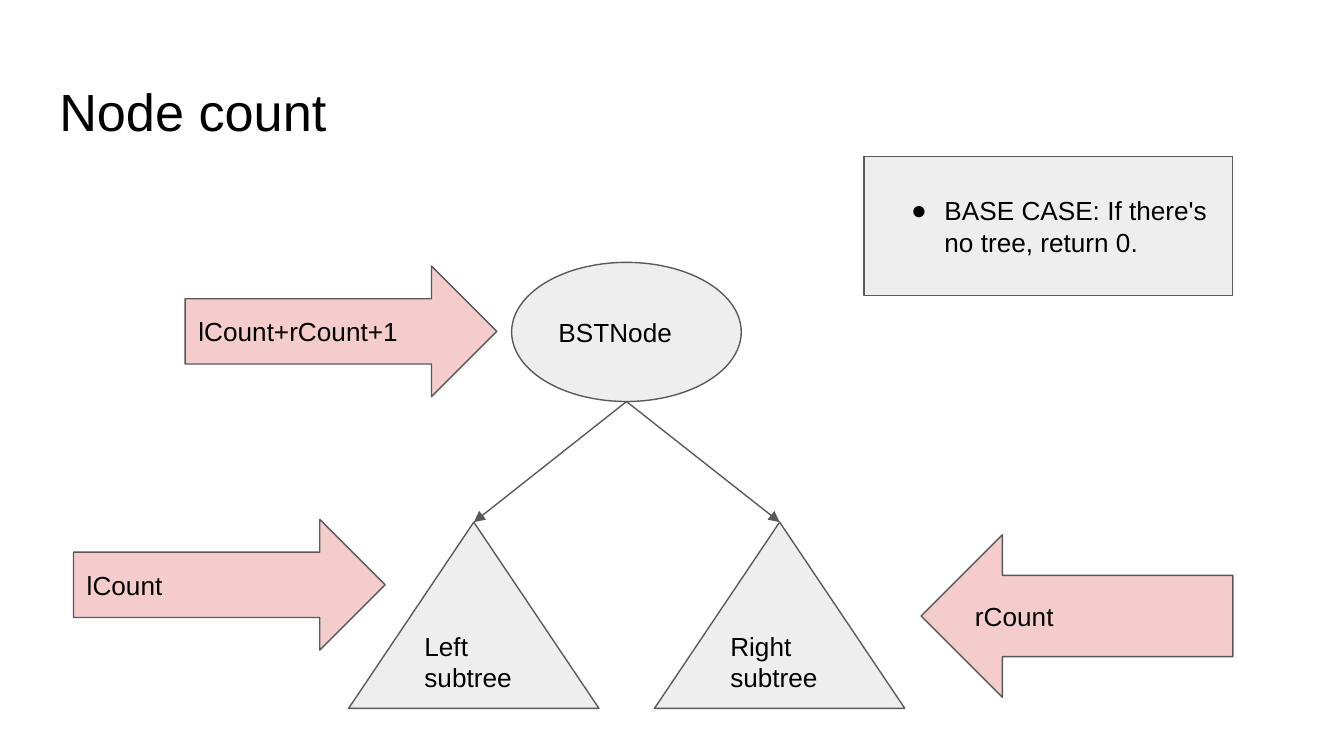
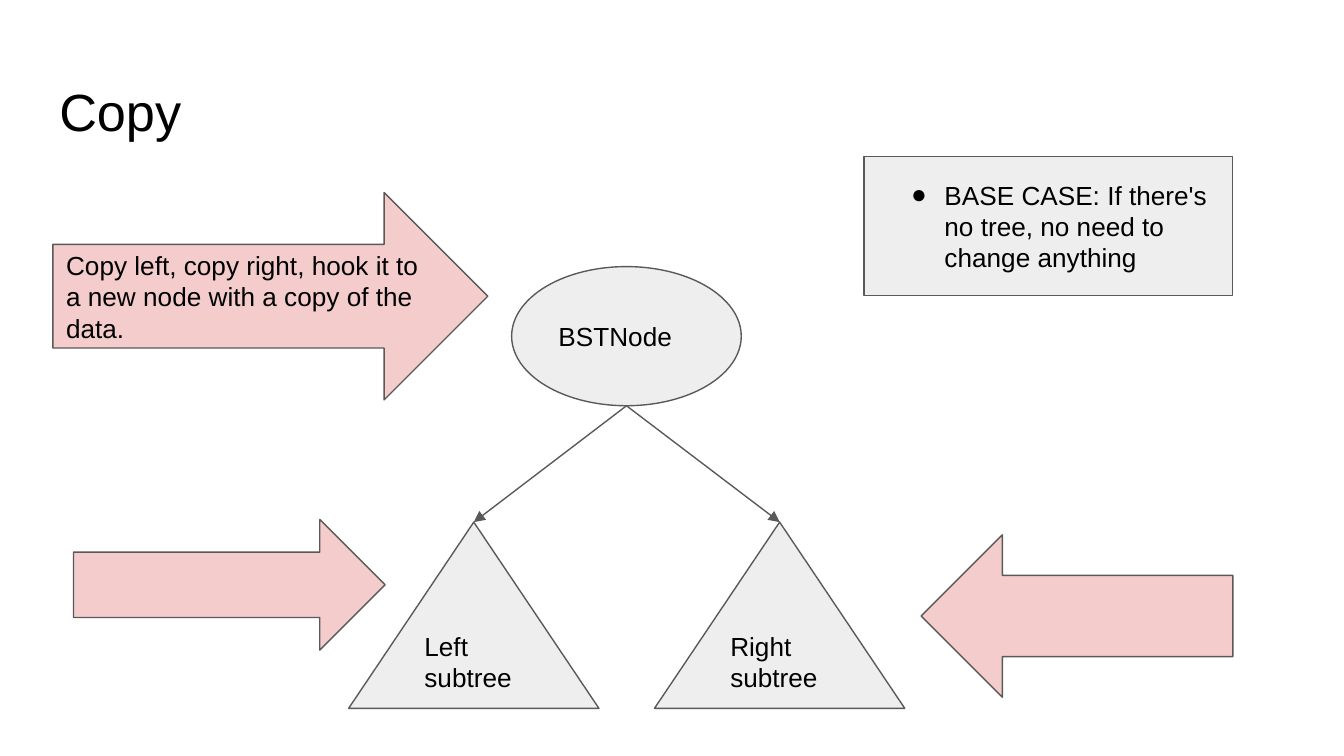
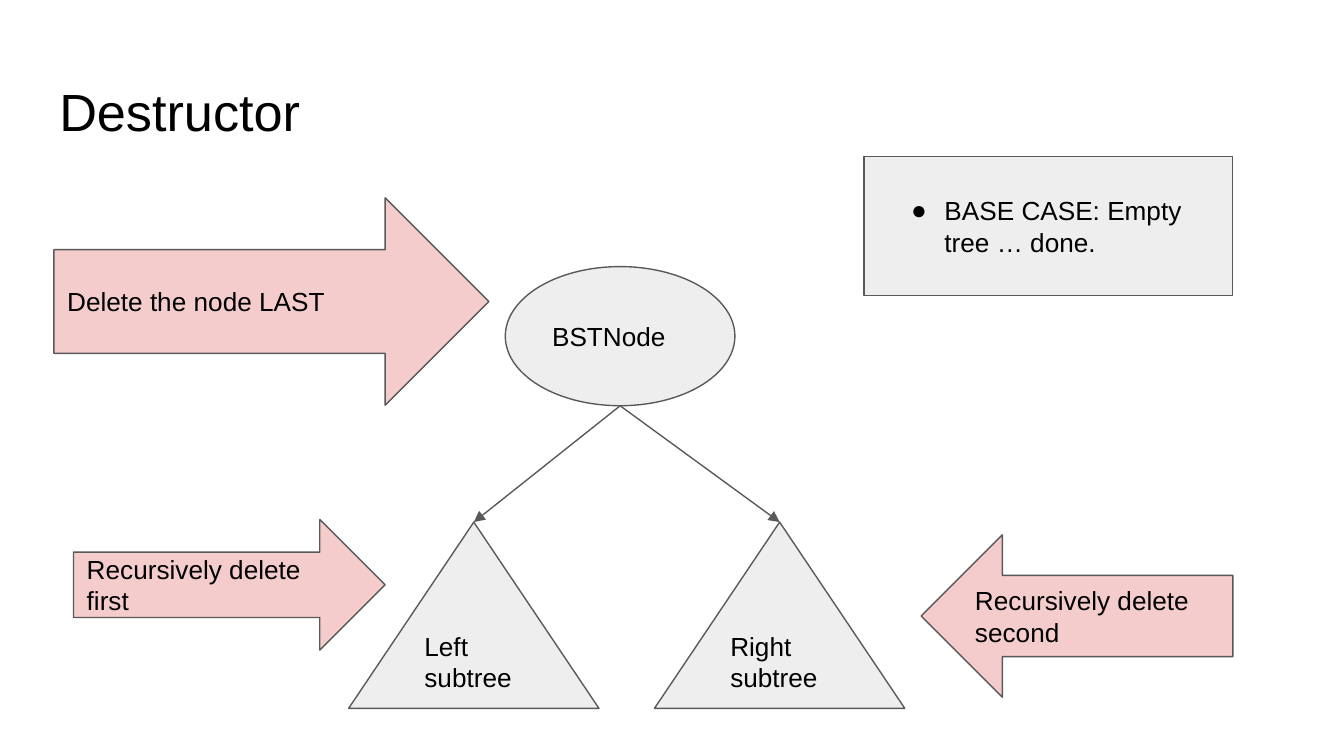
from lxml import etree
from pptx import Presentation
from pptx.dml.color import RGBColor
from pptx.enum.shapes import MSO_CONNECTOR, MSO_SHAPE
from pptx.enum.text import MSO_ANCHOR, MSO_AUTO_SIZE, PP_ALIGN
from pptx.oxml.ns import qn
from pptx.util import Cm, Pt

OVAL, TRIANGLE, BOX = MSO_SHAPE.OVAL, MSO_SHAPE.ISOSCELES_TRIANGLE, MSO_SHAPE.RECTANGLE
RIGHT_ARROW, LEFT_ARROW = MSO_SHAPE.RIGHT_ARROW, MSO_SHAPE.LEFT_ARROW
STRAIGHT = MSO_CONNECTOR.STRAIGHT
TOP, MIDDLE = MSO_ANCHOR.TOP, MSO_ANCHOR.MIDDLE
LEFT = PP_ALIGN.LEFT
NO_AUTOFIT = MSO_AUTO_SIZE.NONE

FONT = "Arial"
INK, OUTLINE, GREY, PINK = "000000", "595959", "EEEEEE", "F4CCCC"
INSET = 0.25

SMALL_ARROW = (5.89, 2.47)
BIG_ARROW = (8.22, 3.92)
NODE_SIZE = (4.34, 2.63)
SUBTREE_SIZE = (4.73, 3.52)
SUBTREE_TOP = 9.87
SUBTREES = [("Left subtree", 6.59), ("Right subtree", 12.37)]
TITLE_AREA = (0.87, 1.24, 23.67, 1.59)
BASE_CASE_AREA = (16.33, 2.96, 6.96, 2.63)
LEFT_STEP_AREA = (1.39, 9.82, *SMALL_ARROW)
RIGHT_STEP_AREA = (17.41, 10.11, 5.89, 3.07)

OPERATIONS = [
    {
        "title": "Node count",
        "base_case": "BASE CASE: If there's no tree, return 0.",
        "node_at": (9.67, 4.96),
        "left_step": "lCount",
        "node_step": "lCount+rCount+1",
        "node_step_area": (3.5, 5.03, *SMALL_ARROW),
        "right_step": "rCount",
    },
    {
        "title": "Copy",
        "base_case": "BASE CASE: If there's no tree, no need to change anything",
        "node_at": (9.67, 5.04),
        "left_step": "",
        "node_step": "Copy left, copy right, hook it to a new node with a copy of the data.",
        "node_step_area": (1, 3.64, *BIG_ARROW),
        "right_step": "",
    },
    {
        "title": "Destructor",
        "base_case": "BASE CASE: Empty tree … done.",
        "node_at": (9.55, 5.04),
        "left_step": "Recursively delete first",
        "node_step": "Delete the node LAST",
        "node_step_area": (1.02, 3.74, *BIG_ARROW),
        "right_step": "Recursively delete second",
    },
]


def color(hex_code):
    return RGBColor.from_string(hex_code)


def write(shape, text, size, anchor):
    frame = shape.text_frame
    frame.auto_size = NO_AUTOFIT
    frame.word_wrap = True
    frame.vertical_anchor = anchor
    frame.margin_left = frame.margin_right = Cm(INSET)
    frame.margin_top = frame.margin_bottom = Cm(INSET)
    frame.text = text
    paragraph = frame.paragraphs[0]
    paragraph.alignment = LEFT
    paragraph.font.name = FONT
    paragraph.font.size = Pt(size)
    paragraph.font.color.rgb = color(INK)
    return paragraph


def add_title(slide, text):
    title = slide.shapes.title
    title.left, title.top, title.width, title.height = map(Cm, TITLE_AREA)
    write(title, text, 28, TOP)


def outline(line):
    line.color.rgb = color(OUTLINE)
    line.width = Pt(0.75)


def add_part(slide, kind, area, fill, text):
    part = slide.shapes.add_shape(kind, *map(Cm, area))
    part.shadow.inherit = False
    part.fill.solid()
    part.fill.fore_color.rgb = color(fill)
    outline(part.line)
    if text:
        write(part, text, 14, MIDDLE)
    return part


def add_bullet(paragraph):
    properties = paragraph._p.get_or_add_pPr()
    properties.set("marL", str(Cm(1.27)))
    properties.set("indent", str(-Cm(0.88 - INSET)))
    etree.SubElement(properties, qn("a:buFont"), typeface=FONT)
    etree.SubElement(properties, qn("a:buChar"), char="●")


def add_branch(slide, node, subtree):
    branch = slide.shapes.add_connector(
        STRAIGHT,
        node.left + node.width // 2,
        node.top + node.height,
        subtree.left + subtree.width // 2,
        subtree.top,
    )
    outline(branch.line)
    etree.SubElement(branch.line._get_or_add_ln(), qn("a:tailEnd"), type="triangle")
    etree.SubElement(branch._element.spPr, qn("a:effectLst"))


def add_operation(deck, operation):
    slide = deck.slides.add_slide(deck.slide_layouts[5])
    add_title(slide, operation["title"])
    node = add_part(slide, OVAL, (*operation["node_at"], *NODE_SIZE), GREY, "BSTNode")
    for label, left in SUBTREES:
        area = (left, SUBTREE_TOP, *SUBTREE_SIZE)
        add_branch(slide, node, add_part(slide, TRIANGLE, area, GREY, label))
    base_case = add_part(slide, BOX, BASE_CASE_AREA, GREY, operation["base_case"])
    add_bullet(base_case.text_frame.paragraphs[0])
    for kind, area, step in [
        (RIGHT_ARROW, LEFT_STEP_AREA, "left_step"),
        (RIGHT_ARROW, operation["node_step_area"], "node_step"),
        (LEFT_ARROW, RIGHT_STEP_AREA, "right_step"),
    ]:
        add_part(slide, kind, area, PINK, operation[step])


deck = Presentation()
deck.slide_width, deck.slide_height = Cm(25.4), Cm(14.29)
for operation in OPERATIONS:
    add_operation(deck, operation)
deck.save("out.pptx")
